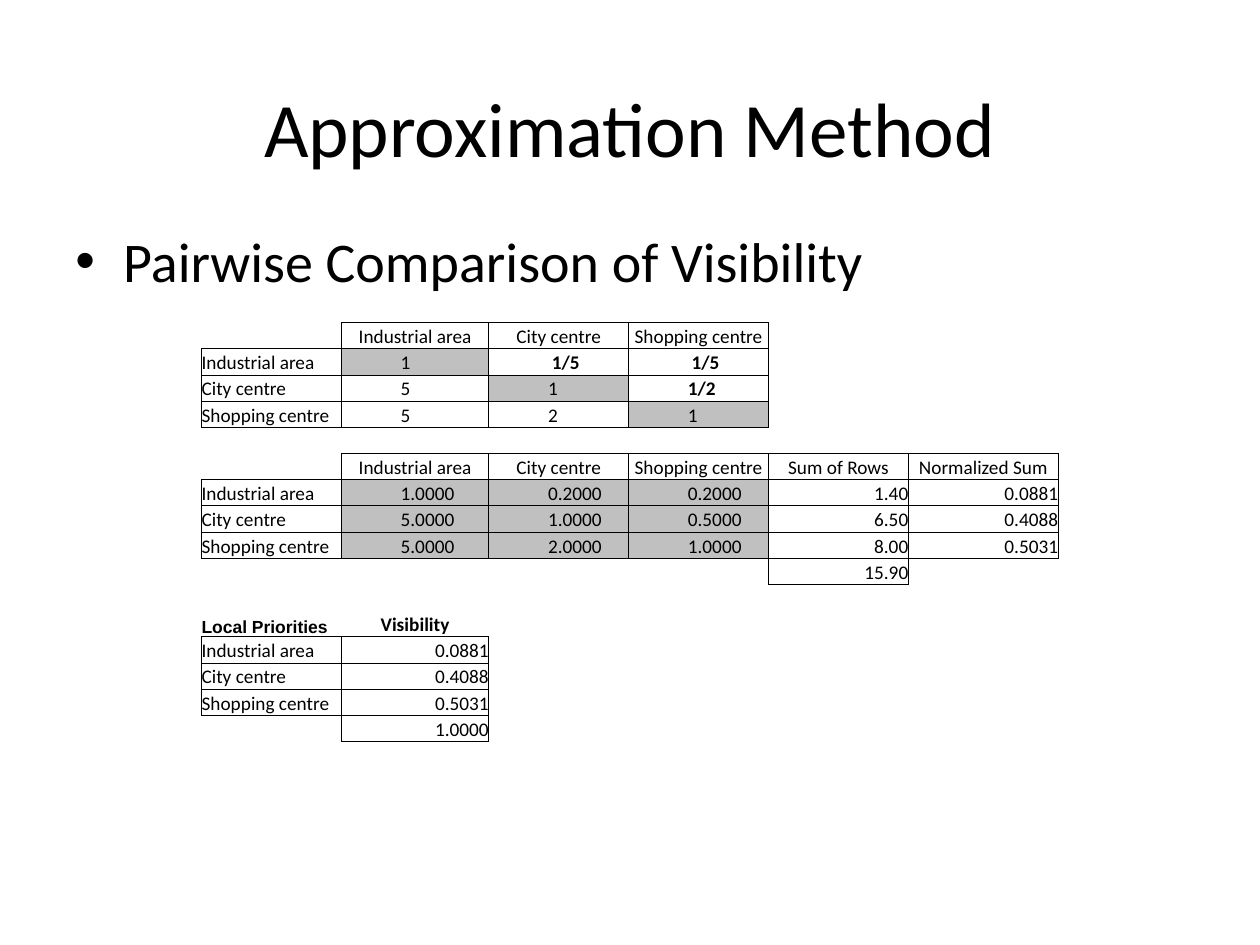
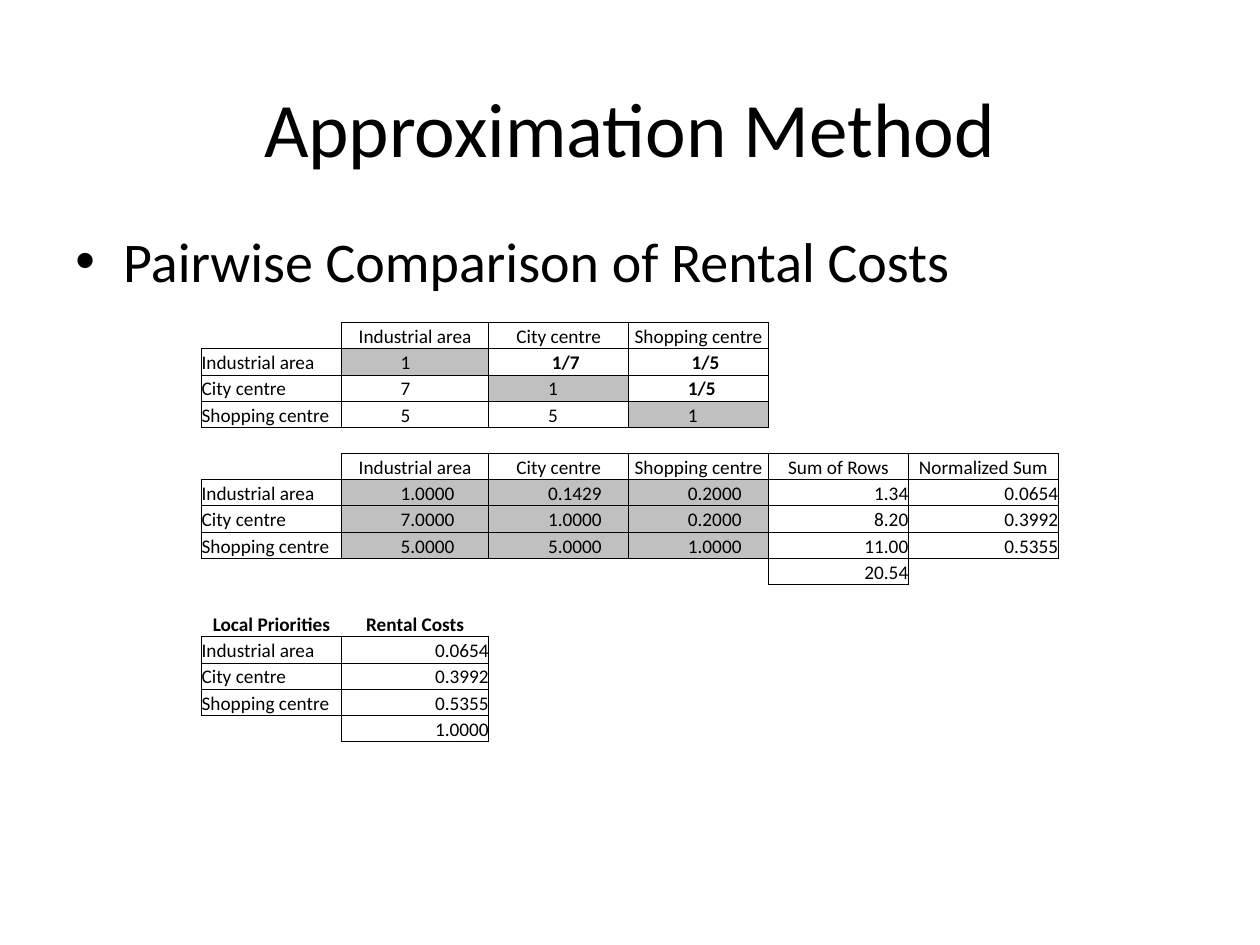
from pptx import Presentation
from pptx.dml.color import RGBColor
from pptx.enum.text import MSO_ANCHOR as Anchor, PP_ALIGN as Align
from pptx.oxml.xmlchemy import OxmlElement
from pptx.util import Inches, Pt

BLACK, GRAY = "000000", "C0C0C0"
SITES = ["Industrial area", "City centre", "Shopping centre"]
COLUMN_WIDTHS = [1.11, 1.17, 1.11, 1.11, 1.11, 1.19]
ROW_COUNT, TABLE_HEIGHT = 16, 3.33
JUDGEMENTS_ROW, SUMS_ROW, PRIORITIES_ROW = 0, 5, 11
NUMBER_INSET, FRACTION_INSET = 0.47, 0.5


def color(hex_string):
    return RGBColor.from_string(hex_string)


def child(parent, tag, **attributes):
    element = OxmlElement(tag)
    for name, value in attributes.items():
        element.set(name, str(value))
    parent.append(element)
    return element


def ratio(text):
    numerator, _, denominator = text.partition("/")
    return int(numerator) / int(denominator or 1)


class Deck:
    font_name = "Calibri"
    cell_size = 11

    def __init__(self):
        self.presentation = Presentation()
        self.presentation.slide_width = Inches(10)
        self.presentation.slide_height = Inches(7.5)
        self.slide = None

    def add_slide(self):
        self.slide = self.presentation.slides.add_slide(self.presentation.slide_layouts[6])

    def set_font(self, paragraph, size, bold=False, font_name=None):
        font = paragraph.font
        font.name = font_name or self.font_name
        font.size = Pt(size)
        font.bold = bold
        font.color.rgb = color(BLACK)

    def text_box(self, text, top, height, anchor):
        box = self.slide.shapes.add_textbox(Inches(0.5), Inches(top), Inches(9), Inches(height))
        frame = box.text_frame
        frame.word_wrap = True
        frame.vertical_anchor = anchor
        frame.text = text
        return frame.paragraphs[0]

    def title(self, text):
        paragraph = self.text_box(text, 0.38, 1.25, Anchor.MIDDLE)
        paragraph.alignment = Align.CENTER
        self.set_font(paragraph, 44)

    def bullet(self, text):
        paragraph = self.text_box(text, 1.75, 4.95, Anchor.TOP)
        properties = paragraph._p.get_or_add_pPr()
        properties.set("marL", str(Inches(0.38)))
        properties.set("indent", str(-Inches(0.38)))
        child(properties, "a:buFont", typeface="Arial")
        child(properties, "a:buChar", char="•")
        self.set_font(paragraph, 32)

    def border(self, cell, side, visible):
        line = child(cell._tc.get_or_add_tcPr(), f"a:ln{side}", w=Pt(0.5))
        if visible:
            fill = child(line, "a:solidFill")
            child(fill, "a:srgbClr", val=BLACK)
        else:
            child(line, "a:noFill")

    def fill_cell(self, cell, text="", align=Align.LEFT, inset=0, fill=None,
                  bold=False, size=cell_size, font_name=None, boxed=True):
        cell.margin_left = Inches(inset)
        cell.margin_right = cell.margin_top = cell.margin_bottom = 0
        cell.vertical_anchor = Anchor.BOTTOM
        if fill:
            cell.fill.solid()
            cell.fill.fore_color.rgb = color(fill)
        else:
            cell.fill.background()
        paragraph = cell.text_frame.paragraphs[0]
        paragraph.alignment = align
        self.set_font(paragraph, size, bold, font_name)
        if text:
            paragraph.add_run().text = text
        else:
            child(paragraph._p, "a:endParaRPr", sz=size * 100)

    def table(self, entries):
        width = sum(COLUMN_WIDTHS)
        table = self.slide.shapes.add_table(
            ROW_COUNT, len(COLUMN_WIDTHS), Inches(1.6), Inches(2.56),
            Inches(width), Inches(TABLE_HEIGHT)).table
        table.first_row = table.horz_banding = False
        for column, column_width in zip(table.columns, COLUMN_WIDTHS):
            column.width = Inches(column_width)
        for row in table.rows:
            row.height = Inches(TABLE_HEIGHT / ROW_COUNT)

        boxed = {place for place, entry in entries.items() if entry.get("boxed", True)}
        for row in range(ROW_COUNT):
            for column in range(len(COLUMN_WIDTHS)):
                cell = table.cell(row, column)
                neighbours = {"L": (row, column - 1), "R": (row, column + 1),
                              "T": (row - 1, column), "B": (row + 1, column)}
                for side, neighbour in neighbours.items():
                    self.border(cell, side, bool(boxed & {(row, column), neighbour}))
                self.fill_cell(cell, **entries.get((row, column), {}))


def comparison_entries(criterion, judgements, priorities_style):
    matrix = [[ratio(text) for text in line] for line in judgements]
    sums = [sum(line) for line in matrix]
    total = sum(sums)
    entries = {}

    def header(row, labels):
        for column, label in enumerate(labels, 1):
            entries[row, column] = dict(text=label, align=Align.CENTER)

    def number(row, column, value, decimals=4):
        entries[row, column] = dict(text=f"{value:.{decimals}f}", align=Align.RIGHT)

    header(JUDGEMENTS_ROW, SITES)
    header(SUMS_ROW, SITES + ["Sum of Rows", "Normalized Sum"])
    entries[PRIORITIES_ROW, 0] = dict(text="Local Priorities", bold=True, boxed=False,
                                      **priorities_style)
    entries[PRIORITIES_ROW, 1] = dict(text=criterion, align=Align.CENTER, bold=True, boxed=False)

    for index, site in enumerate(SITES):
        offset = index + 1
        for start in (JUDGEMENTS_ROW, SUMS_ROW, PRIORITIES_ROW):
            entries[start + offset, 0] = dict(text=site)
        for column, text in enumerate(judgements[index]):
            fraction = "/" in text
            entries[JUDGEMENTS_ROW + offset, column + 1] = dict(
                text=text, bold=fraction, fill=GRAY if column == index else None,
                inset=FRACTION_INSET if fraction and index == 0 else NUMBER_INSET)
            entries[SUMS_ROW + offset, column + 1] = dict(
                text=f"{matrix[index][column]:.4f}", inset=NUMBER_INSET, fill=GRAY)
        number(SUMS_ROW + offset, 4, sums[index], 2)
        number(SUMS_ROW + offset, 5, sums[index] / total)
        number(PRIORITIES_ROW + offset, 1, sums[index] / total)

    number(SUMS_ROW + 4, 4, total, 2)
    number(PRIORITIES_ROW + 4, 1, 1)
    return entries


def main():
    comparisons = [
        ("Visibility", [["1", "1/5", "1/5"], ["5", "1", "1/2"], ["5", "2", "1"]],
         dict(size=10, font_name="Arial")),
        ("Rental Costs", [["1", "1/7", "1/5"], ["7", "1", "1/5"], ["5", "5", "1"]],
         dict(align=Align.CENTER)),
    ]
    deck = Deck()
    for criterion, judgements, priorities_style in comparisons:
        deck.add_slide()
        deck.bullet(f"Pairwise Comparison of {criterion}")
        deck.title("Approximation Method")
        deck.table(comparison_entries(criterion, judgements, priorities_style))
    deck.presentation.save("out.pptx")


if __name__ == "__main__":
    main()
